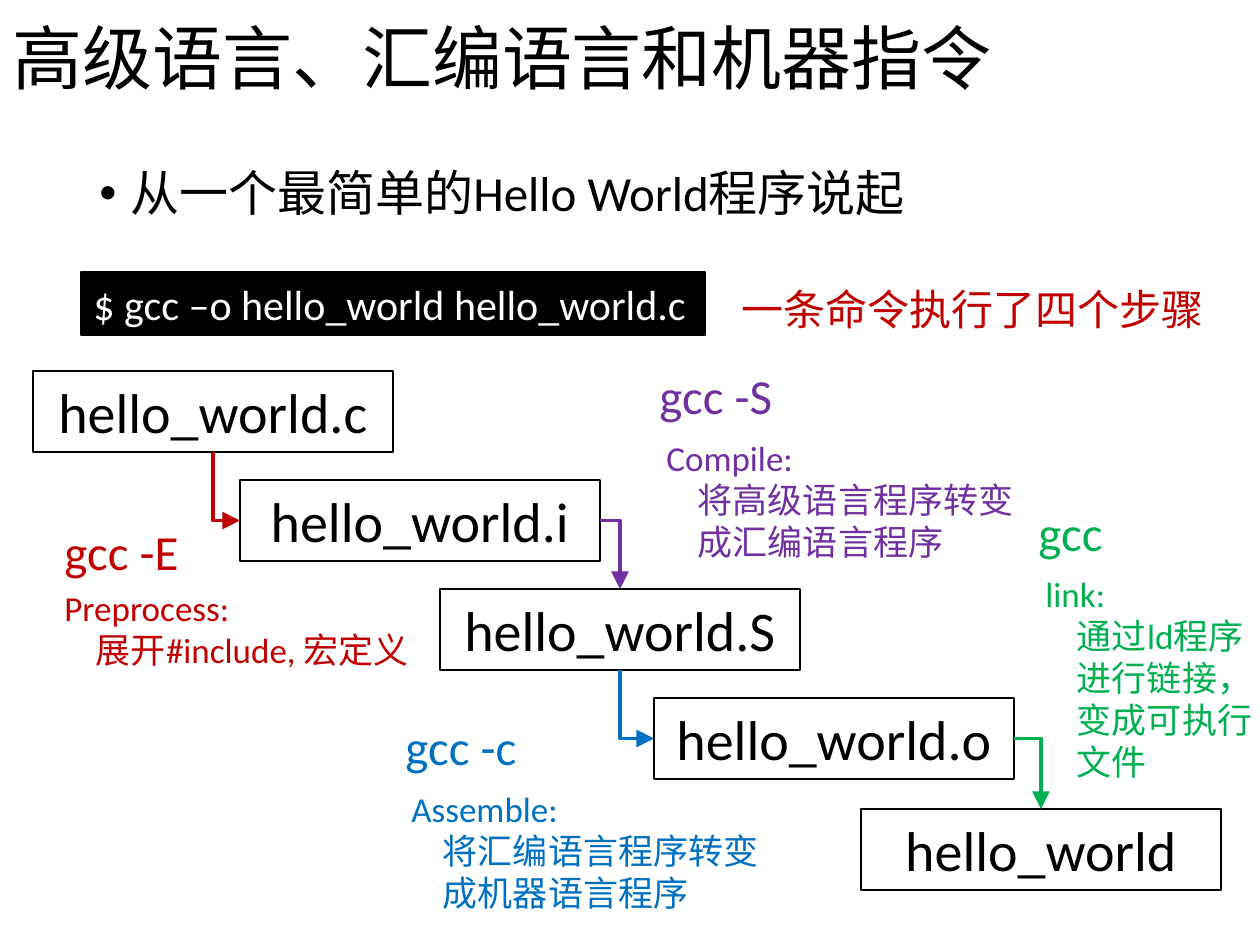
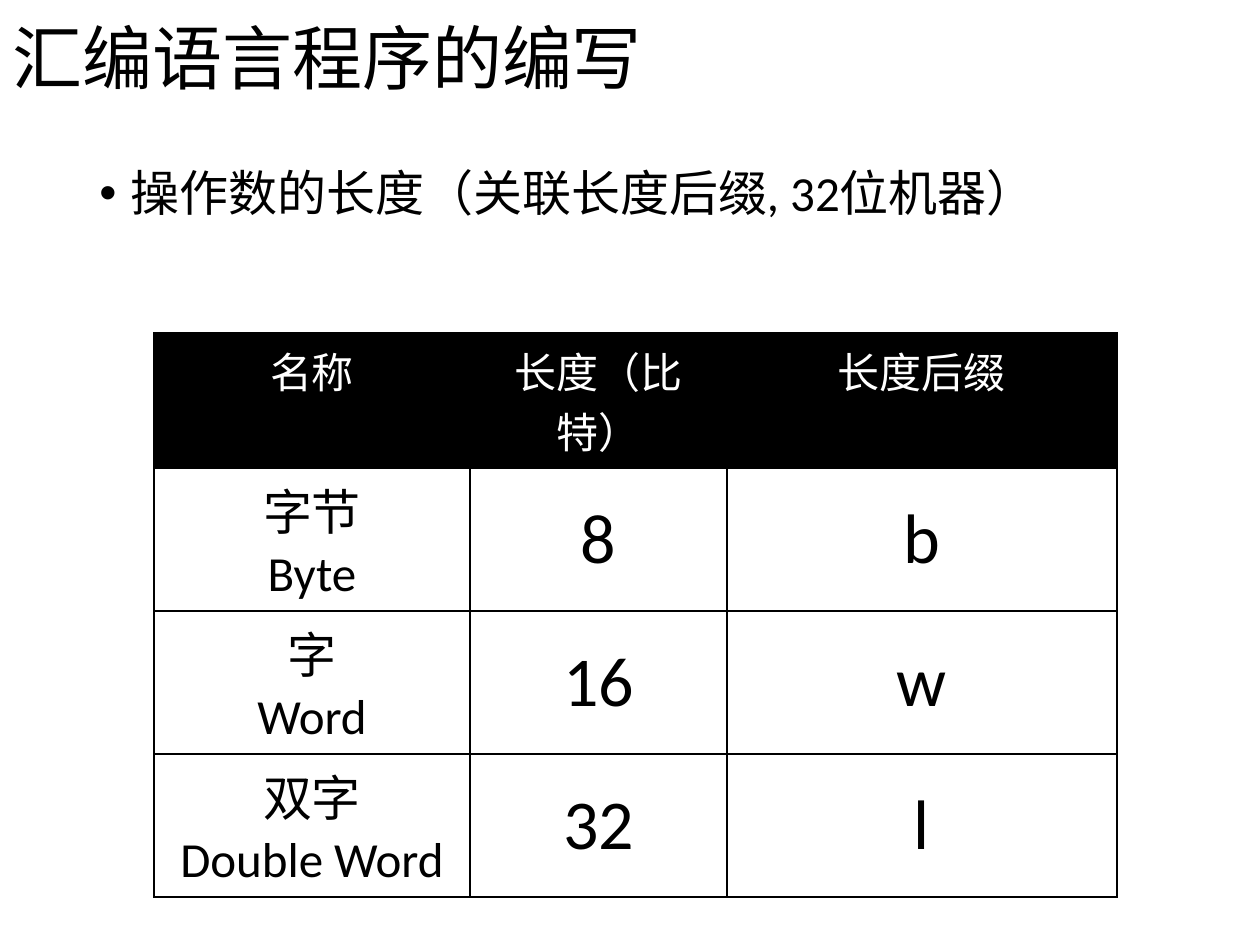
from itertools import pairwise

from lxml.etree import SubElement
from pptx import Presentation
from pptx.dml.color import RGBColor
from pptx.enum.shapes import MSO_CONNECTOR, MSO_SHAPE
from pptx.enum.text import MSO_ANCHOR, MSO_AUTO_SIZE, PP_ALIGN
from pptx.oxml.ns import qn
from pptx.util import Emu, Inches, Pt

# Shared style
BLACK = RGBColor(0x00, 0x00, 0x00)
WHITE = RGBColor(0xFF, 0xFF, 0xFF)
RED = RGBColor(0xC0, 0x00, 0x00)
PURPLE = RGBColor(0x70, 0x30, 0xA0)
BLUE = RGBColor(0x00, 0x70, 0xC0)
GREEN = RGBColor(0x00, 0xB0, 0x50)
LATIN_FONT = "Calibri"
CHINESE_FONT = "Noto Sans CJK SC"

PIXELS_PER_INCH = 126
TITLE_BOX = (0, 0, 1260, 123)
STEP_SIZE = (360, 81)


def px(length):
    return Emu(round(length * Inches(1) / PIXELS_PER_INCH))


def write_text(frame, text, *, size, color=BLACK, font=LATIN_FONT,
               align=PP_ALIGN.LEFT, line_spacing=None):
    """Fill a text frame, one paragraph for each line of the text."""
    frame.text = text
    for paragraph in frame.paragraphs:
        paragraph.alignment = align
        paragraph.line_spacing = line_spacing
        for run in paragraph.runs:
            run.font.size = Pt(size)
            run.font.bold = False
            run.font.color.rgb = color
            run.font.name = font
            SubElement(run.font._element, qn("a:ea"), typeface=CHINESE_FONT)


def indent(paragraph, margin, first_line):
    properties = paragraph._p.get_or_add_pPr()
    properties.set("marL", str(Inches(margin)))
    properties.set("indent", str(Inches(first_line)))
    return properties


def add_text(slide, box, text, wrap=True, **text_format):
    shape = slide.shapes.add_textbox(*map(px, box))
    shape.text_frame.word_wrap = wrap
    write_text(shape.text_frame, text, **text_format)
    return shape.text_frame


def add_box(slide, box, text, fill, wrap=True, **text_format):
    shape = slide.shapes.add_shape(MSO_SHAPE.RECTANGLE, *map(px, box))
    shape.shadow.inherit = False
    shape.fill.solid()
    shape.fill.fore_color.rgb = fill
    shape.line.color.rgb = BLACK
    shape.line.width = Pt(1)
    frame = shape.text_frame
    frame.word_wrap = wrap
    frame.auto_size = MSO_AUTO_SIZE.SHAPE_TO_FIT_TEXT
    frame.vertical_anchor = MSO_ANCHOR.TOP
    write_text(frame, text, **text_format)


def add_titled_slide(presentation, title, bullet):
    slide = presentation.slides.add_slide(presentation.slide_layouts[5])
    shape = slide.shapes.title
    shape.left, shape.top, shape.width, shape.height = map(px, TITLE_BOX)
    frame = shape.text_frame
    frame.auto_size = MSO_AUTO_SIZE.NONE
    frame.vertical_anchor = MSO_ANCHOR.MIDDLE
    write_text(frame, title, size=40, font=CHINESE_FONT, line_spacing=0.9)

    # Bulleted topic
    topic = add_text(slide, (87, 163, 1086, 141), bullet, size=28,
                     line_spacing=0.9).paragraphs[0]
    topic.space_before = Pt(10)
    properties = indent(topic, 0.25, -0.25)
    SubElement(properties, qn("a:buFont"), typeface="Arial")
    SubElement(properties, qn("a:buChar"), char="•")
    return slide


def add_elbow(slide, start, end, color, down_first):
    """Draw a one-bend arrow from start to end."""
    (x1, y1), (x2, y2) = start, end
    if down_first:
        # A quarter turn of a mirrored bend, about the same centre
        center_x, center_y = (x1 + x2) / 2, (y1 + y2) / 2
        half_width, half_height = (y2 - y1) / 2, (x2 - x1) / 2
        x1, x2 = center_x + half_width, center_x - half_width
        y1, y2 = center_y - half_height, center_y + half_height
    connector = slide.shapes.add_connector(
        MSO_CONNECTOR.ELBOW, px(x1), px(y1), px(x2), px(y2))
    connector.line.color.rgb = color
    connector.line.width = Pt(2)
    SubElement(connector.line._get_or_add_ln(), qn("a:tailEnd"),
               type="triangle", w="lg", len="lg")
    properties = connector._element.spPr
    SubElement(properties, qn("a:effectLst"))
    properties.find(qn("a:prstGeom")).set("prst", "bentConnector2")
    if down_first:
        properties.find(qn("a:xfrm")).set("rot", str(270 * 60000))


def add_step_note(slide, command_box, note_box, command, note, color, hanging):
    """Place a command above its explanation, indented below the first line."""
    add_text(slide, command_box, command, wrap=False, size=28, color=color)
    frame = add_text(slide, note_box, note, size=20, color=color)
    for paragraph in frame.paragraphs[1:]:
        indent(paragraph, *((0.25, 0) if hanging else (0, 0.25)))


def add_build_steps(slide, files, colors):
    """Draw the staircase of files; arrows alternate down-right, right-down."""
    width, height = STEP_SIZE
    for name, left, top in files:
        add_box(slide, (left, top, width, height), name, WHITE, size=32,
                align=PP_ALIGN.CENTER)
    for index, ((_, left, top), (_, next_left, next_top)) in enumerate(pairwise(files)):
        down_first = index % 2 == 0
        if down_first:
            start = (left + width / 2, top + height)
            end = (next_left, next_top + height / 2)
        else:
            start = (left + width, top + height / 2)
            end = (next_left + width / 2, next_top)
        add_elbow(slide, start, end, colors[index], down_first)


def set_borders(cell):
    properties = cell._tc.get_or_add_tcPr()
    for position, side in enumerate(("a:lnL", "a:lnR", "a:lnT", "a:lnB")):
        line = SubElement(properties, qn(side), w=str(Pt(1)))
        fill = SubElement(line, qn("a:solidFill"))
        SubElement(fill, qn("a:srgbClr"), val=str(BLACK))
        properties.insert(position, line)


def add_length_table(slide, left, top, column_widths, row_heights, rows):
    table = slide.shapes.add_table(
        len(rows), len(column_widths), px(left), px(top),
        px(sum(column_widths)), px(sum(row_heights))).table
    table.horz_banding = False
    for column, width in zip(table.columns, column_widths):
        column.width = px(width)
    for row, height in zip(table.rows, row_heights):
        row.height = px(height)
    for row_index, texts in enumerate(rows):
        header = row_index == 0
        for column_index, text in enumerate(texts):
            cell = table.cell(row_index, column_index)
            cell.fill.solid()
            cell.fill.fore_color.rgb = BLACK if header else WHITE
            cell.vertical_anchor = MSO_ANCHOR.TOP if header else MSO_ANCHOR.MIDDLE
            size = 24 if header else 28 if column_index == 0 else 40
            write_text(cell.text_frame, text, size=size, align=PP_ALIGN.CENTER,
                       color=WHITE if header else BLACK)
            set_borders(cell)


def build_compile_slide(presentation):
    slide = add_titled_slide(presentation, "高级语言、汇编语言和机器指令",
                             "从一个最简单的Hello World程序说起")
    # Command line and remark
    add_box(slide, (81, 272, 624, 63), "$ gcc –o hello_world hello_world.c",
            BLACK, wrap=False, size=24, color=WHITE)
    add_text(slide, (729, 277, 491, 63), "一条命令执行了四个步骤", wrap=False,
             size=24, color=RED)
    # Files and arrows
    files = [("hello_world.c", 33, 371), ("hello_world.i", 240, 480),
             ("hello_world.S", 440, 589), ("hello_world.o", 654, 698),
             ("hello_world", 861, 809)]
    add_build_steps(slide, files, [RED, PURPLE, BLUE, GREEN])
    # Explanation of each step
    notes = [
        ((52, 515, 141, 72), (52, 580, 373, 97), "gcc -E",
         "Preprocess:\n展开#include, 宏定义", RED, False),
        ((647, 359, 141, 72), (654, 430, 381, 140), "gcc -S",
         "Compile:\n将高级语言程序转变\n成汇编语言程序", PURPLE, True),
        ((393, 710, 137, 72), (399, 781, 394, 140), "gcc -c",
         "Assemble:\n将汇编语言程序转变\n成机器语言程序", BLUE, True),
        ((1026, 496, 91, 72), (1033, 566, 394, 224), "gcc",
         "link:\n通过ld程序\n进行链接，\n变成可执行\n文件", GREEN, True),
    ]
    for note in notes:
        add_step_note(slide, *note)


def build_operand_slide(presentation):
    slide = add_titled_slide(presentation, "汇编语言程序的编写",
                             "操作数的长度（关联长度后缀, 32位机器）")
    rows = [("名称", "长度（比特）", "长度后缀"),
            ("字节\nByte", "8", "b"),
            ("字\nWord", "16", "w"),
            ("双字\nDouble Word", "32", "l")]
    # Every row is tall enough for two lines of its text
    add_length_table(slide, 154, 333, (316, 257, 390), (135, 143, 143, 143), rows)


presentation = Presentation()
presentation.slide_width = px(1260)
presentation.slide_height = px(945)
build_compile_slide(presentation)
build_operand_slide(presentation)
presentation.save("out.pptx")
